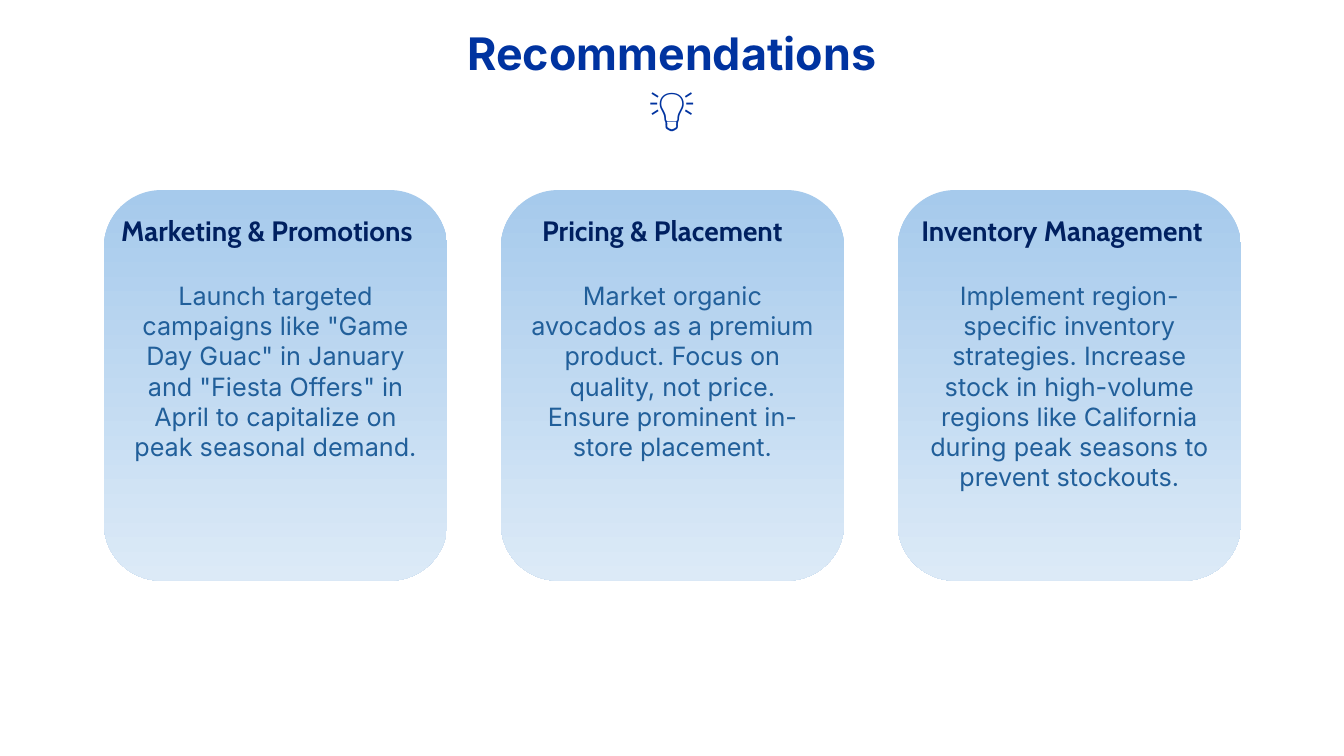
"""Build the recommendations slide with three gradient cards."""
from pptx import Presentation
from pptx.dml.color import RGBColor
from pptx.enum.shapes import MSO_SHAPE
from pptx.enum.text import MSO_ANCHOR, MSO_AUTO_SIZE, PP_ALIGN
from pptx.util import Pt

TITLE = "Recommendations 💡"
CARDS = [
    ("Marketing & Promotions", 106, 313,
     'Launch targeted campaigns like "Game Day Guac" in January and '
     '"Fiesta Offers" in April to capitalize on peak seasonal demand.'),
    ("Pricing & Placement", 507, 266,
     "Market organic avocados as a premium product. Focus on quality, "
     "not price. Ensure prominent in-store placement."),
    ("Inventory Management", 868, 300,
     "Implement region-specific inventory strategies. Increase stock in "
     "high-volume regions like California during peak seasons to prevent stockouts."),
]

PX = 9525
SLIDE_WIDTH, SLIDE_HEIGHT = 1280, 720
CARD_LEFT, CARD_TOP, CARD_WIDTH, CARD_HEIGHT = 99, 181, 327, 372
CARD_STEP = 378
CARD_TEXT_INSET = 70
HEADING_TOP, HEADING_HEIGHT = 199, 42

TITLE_BLUE = RGBColor(0x00, 0x33, 0xA0)
HEADING_NAVY = RGBColor(0x00, 0x20, 0x60)
BODY_BLUE = RGBColor(0x21, 0x5F, 0x9A)
CARD_STOPS = [RGBColor(0xA6, 0xCA, 0xEC), RGBColor(0xDC, 0xEA, 0xF7)]


def px(*lengths):
    return [length * PX for length in lengths]


def write(shape, text, font, size, color, bold, align, anchor=MSO_ANCHOR.TOP):
    frame = shape.text_frame
    frame.text = text
    frame.word_wrap = True
    frame.auto_size = MSO_AUTO_SIZE.NONE
    frame.vertical_anchor = anchor
    para = frame.paragraphs[0]
    para.alignment = align
    para.line_spacing = 1.0
    span = para.runs[0]
    span.font.name = font
    span.font.size = Pt(size)
    span.font.bold = bold
    span.font.color.rgb = color


def add_card(page, index, body):
    left = CARD_LEFT + index * CARD_STEP
    card = page.shapes.add_shape(
        MSO_SHAPE.ROUNDED_RECTANGLE, *px(left, CARD_TOP, CARD_WIDTH, CARD_HEIGHT))
    card.shadow.inherit = False
    card.line.fill.background()
    card.fill.gradient()
    card.fill.gradient_angle = 270
    for stop, color in zip(card.fill.gradient_stops, CARD_STOPS):
        stop.color.rgb = color
    write(card, body, "Inter", 18, BODY_BLUE, False, PP_ALIGN.CENTER)
    card.text_frame.margin_top = CARD_TEXT_INSET * PX


def main():
    deck = Presentation()
    deck.slide_width, deck.slide_height = px(SLIDE_WIDTH, SLIDE_HEIGHT)
    page = deck.slides.add_slide(deck.slide_layouts[5])

    title = page.shapes.title
    title.left, title.top, title.width, title.height = px(426, 20, 428, 62)
    write(title, TITLE, "Inter", 32, TITLE_BLUE, True, PP_ALIGN.CENTER)

    for index, (heading, left, width, body) in enumerate(CARDS):
        add_card(page, index, body)
        box = page.shapes.add_textbox(*px(left, HEADING_TOP, width, HEADING_HEIGHT))
        write(box, heading, "Cabin", 20, HEADING_NAVY, True, PP_ALIGN.LEFT)

    deck.save("out.pptx")


if __name__ == "__main__":
    main()
